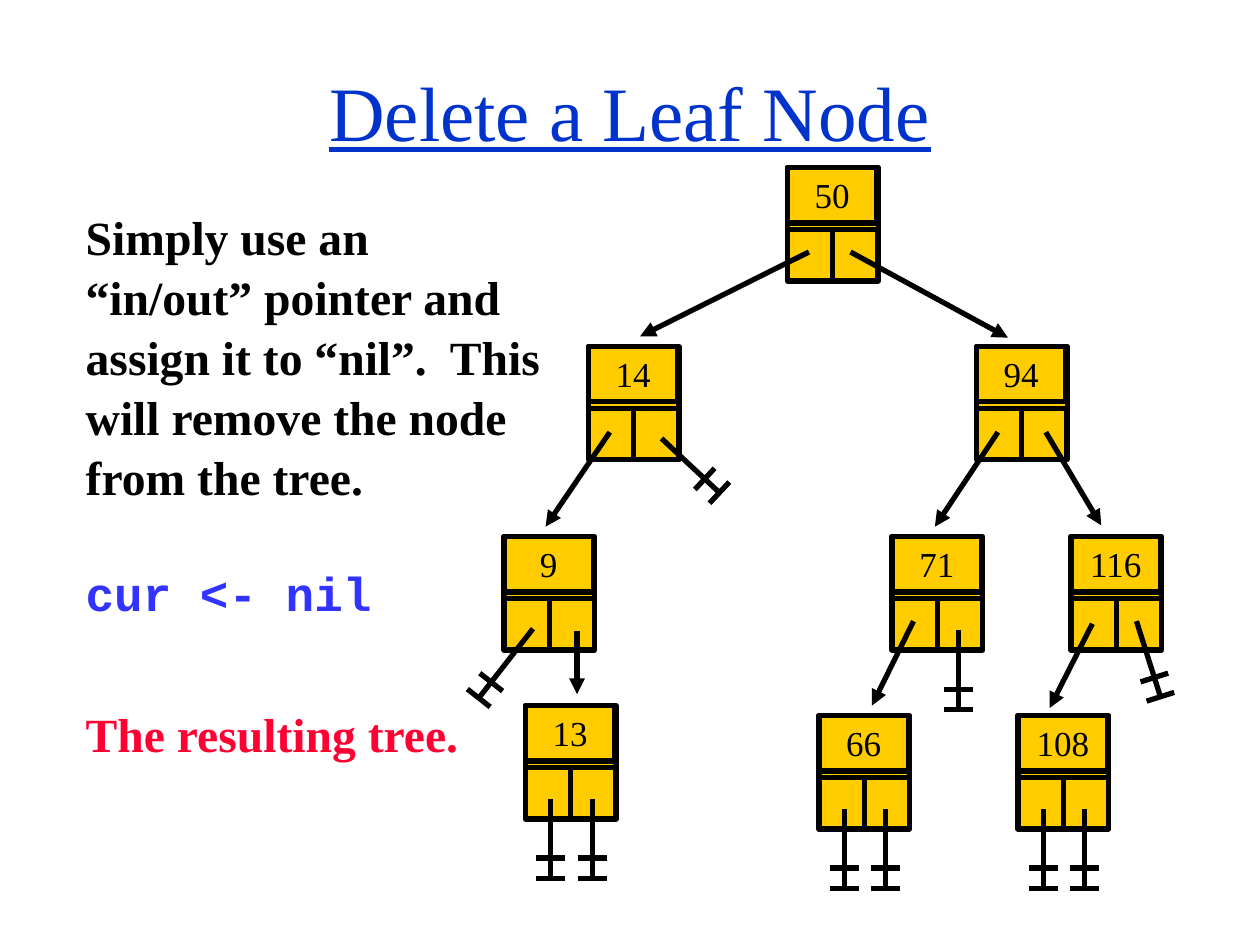
from math import hypot

from lxml import etree
from pptx import Presentation
from pptx.dml.color import RGBColor
from pptx.enum.shapes import MSO_CONNECTOR as CONN, MSO_SHAPE as SHAPE
from pptx.enum.text import MSO_ANCHOR as ANCHOR, MSO_AUTO_SIZE as AUTO, PP_ALIGN as ALIGN
from pptx.oxml.ns import qn
from pptx.util import Inches, Pt

WHITE = RGBColor(0xFF, 0xFF, 0xFF)
BLACK = RGBColor(0x00, 0x00, 0x00)
GOLD = RGBColor(0xFF, 0xCC, 0x00)
TITLE_BLUE = RGBColor(0x00, 0x33, 0xCC)
CODE_BLUE = RGBColor(0x33, 0x33, 0xFF)
RED = RGBColor(0xFF, 0x00, 0x33)

SERIF, MONO = "Times New Roman", "Courier New"
COLUMNS = 10  # the grid is 10 columns by 7.5 rows of square cells

# value: left column and top row of each tree node
NODES = {
    "14": (4.67, 2.75), "50": (6.25, 1.33), "94": (7.75, 2.75),
    "9": (4, 4.26), "71": (7.08, 4.26), "116": (8.5, 4.26),
    "108": (8.08, 5.68), "66": (6.5, 5.68), "13": (4.17, 5.6),
}
LEAVES = "13", "66", "108"

CHILD_LINKS = [
    ((6.42, 2), (5.08, 2.67)), ((6.75, 2), (8, 2.68)),
    ((4.84, 3.43), (4.33, 4.18)), ((4.58, 5.01), (4.58, 5.51)),
    ((7.92, 3.43), (7.42, 4.18)), ((8.3, 3.43), (8.74, 4.17)),
    ((7.25, 4.93), (6.92, 5.6)), ((8.67, 4.95), (8.33, 5.62)),
]
NIL_LINKS = [
    ((5.25, 3.48), (5.71, 3.91)), ((4.23, 4.99), (3.8, 5.54)),
    ((7.61, 5), (7.61, 5.63)), ((9.02, 4.93), (9.21, 5.53)),
]

# text, font, colour, space before, line spacing
BODY = [
    ("Simply use an “in/out” pointer and assign it to “nil”.  This will "
     "remove the node from the tree.", SERIF, BLACK, 0, 1.05),
    ("cur <- nil", MONO, CODE_BLUE, 37, 0.9),
    ("The resulting tree.", SERIF, RED, 46, 1.05),
]


class TreeSlide:
    line_width = Pt(3)

    def __init__(self, prs):
        self.s = prs.slides.add_slide(prs.slide_layouts[1])
        self.unit = prs.slide_width / COLUMNS

    def grid(self, *cells):
        return [round(c * self.unit) for c in cells]

    def place(self, sp, *box):
        sp.left, sp.top, sp.width, sp.height = self.grid(*box)

    def style(self, p, font, size, color, bold=False):
        for r in p.runs:
            r.font.name, r.font.size, r.font.bold = font, Pt(size), bold
            r.font.color.rgb = color

    def title(self, text, *box):
        sp = self.s.shapes.title
        self.place(sp, *box)
        tf = sp.text_frame
        tf.text = text
        tf.auto_size, tf.vertical_anchor = AUTO.NONE, ANCHOR.MIDDLE
        p = tf.paragraphs[0]
        p.alignment = ALIGN.CENTER
        self.style(p, SERIF, 44, TITLE_BLUE)
        p.runs[0].font.underline = True

    def body(self, items, *box):
        sp = self.s.placeholders[1]
        self.place(sp, *box)
        sp.fill.solid()
        sp.fill.fore_color.rgb = WHITE
        tf = sp.text_frame
        tf.text = "\n".join(item[0] for item in items)
        tf.auto_size, tf.vertical_anchor = AUTO.NONE, ANCHOR.TOP
        for p, (_, font, color, before, spacing) in zip(tf.paragraphs, items):
            pPr = p._p.get_or_add_pPr()
            pPr.set("marL", "0")
            pPr.set("indent", "0")
            etree.SubElement(pPr, qn("a:buNone"))
            p.space_before, p.line_spacing = Pt(before), spacing
            self.style(p, font, 27.2, color, bold=True)

    def rect(self, shapes, *box):
        sp = shapes.add_shape(SHAPE.RECTANGLE, *self.grid(*box))
        sp.shadow.inherit = False
        sp.fill.solid()
        sp.fill.fore_color.rgb = GOLD
        sp.line.color.rgb, sp.line.width = BLACK, self.line_width
        return sp

    def node(self, value, x, y):
        """Draw a value box above the left and right pointer cells."""
        shapes = self.s.shapes.add_group_shape().shapes
        self.rect(shapes, x, y, 0.72, 0.49)
        for cell in range(2):
            self.rect(shapes, x + cell * 0.36, y + 0.49, 0.36, 0.41)
        tf = self.rect(shapes, x, y, 0.71, 0.44).text_frame
        tf.text = value
        tf.word_wrap, tf.vertical_anchor = True, ANCHOR.TOP
        p = tf.paragraphs[0]
        p.alignment = ALIGN.CENTER
        self.style(p, SERIF, 20, BLACK)

    def line(self, shapes, start, end):
        c = shapes.add_connector(CONN.STRAIGHT, *self.grid(*start, *end))
        c.line.color.rgb, c.line.width = BLACK, self.line_width
        etree.SubElement(c._element.spPr, qn("a:effectLst"))
        return c

    def arrow(self, start, end):
        c = self.line(self.s.shapes, start, end)
        etree.SubElement(c.line._get_or_add_ln(), qn("a:tailEnd"), type="triangle")

    def nil(self, start, end, bar=0.23, gap=0.16):
        """Draw a stem that ends in two bars at right angles to it."""
        shapes = self.s.shapes.add_group_shape().shapes
        self.line(shapes, start, end)
        (x1, y1), (x2, y2) = start, end
        length = hypot(x2 - x1, y2 - y1)
        ux, uy = (x2 - x1) / length, (y2 - y1) / length
        dx, dy = uy * bar / 2, -ux * bar / 2
        for back in (gap, 0):
            x, y = x2 - ux * back, y2 - uy * back
            self.line(shapes, (x - dx, y - dy), (x + dx, y + dy))


def main():
    prs = Presentation()
    prs.slide_width, prs.slide_height = Inches(10), Inches(7.5)
    slide = TreeSlide(prs)
    slide.title("Delete a Leaf Node", 0.75, 0.5, 8.5, 0.75)
    slide.body(BODY, 0.58, 1.58, 3.83, 4.5)
    for value, (x, y) in NODES.items():
        slide.node(value, x, y)
    for start, end in CHILD_LINKS:
        slide.arrow(start, end)
    for start, end in NIL_LINKS:
        slide.nil(start, end)
    for value in LEAVES:
        x, y = NODES[value]
        for offset in (0.2, 0.53):
            slide.nil((x + offset, y + 0.74), (x + offset, y + 1.37))
    prs.save("out.pptx")


if __name__ == "__main__":
    main()
